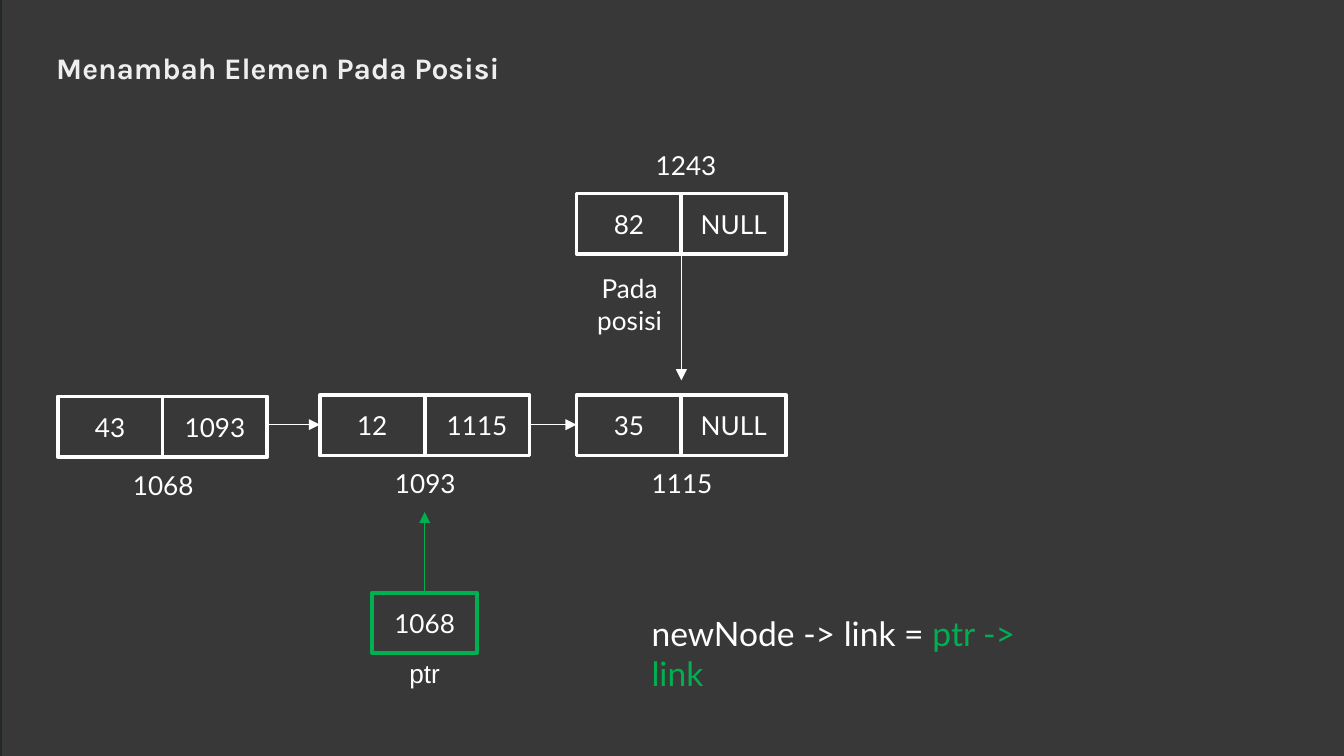
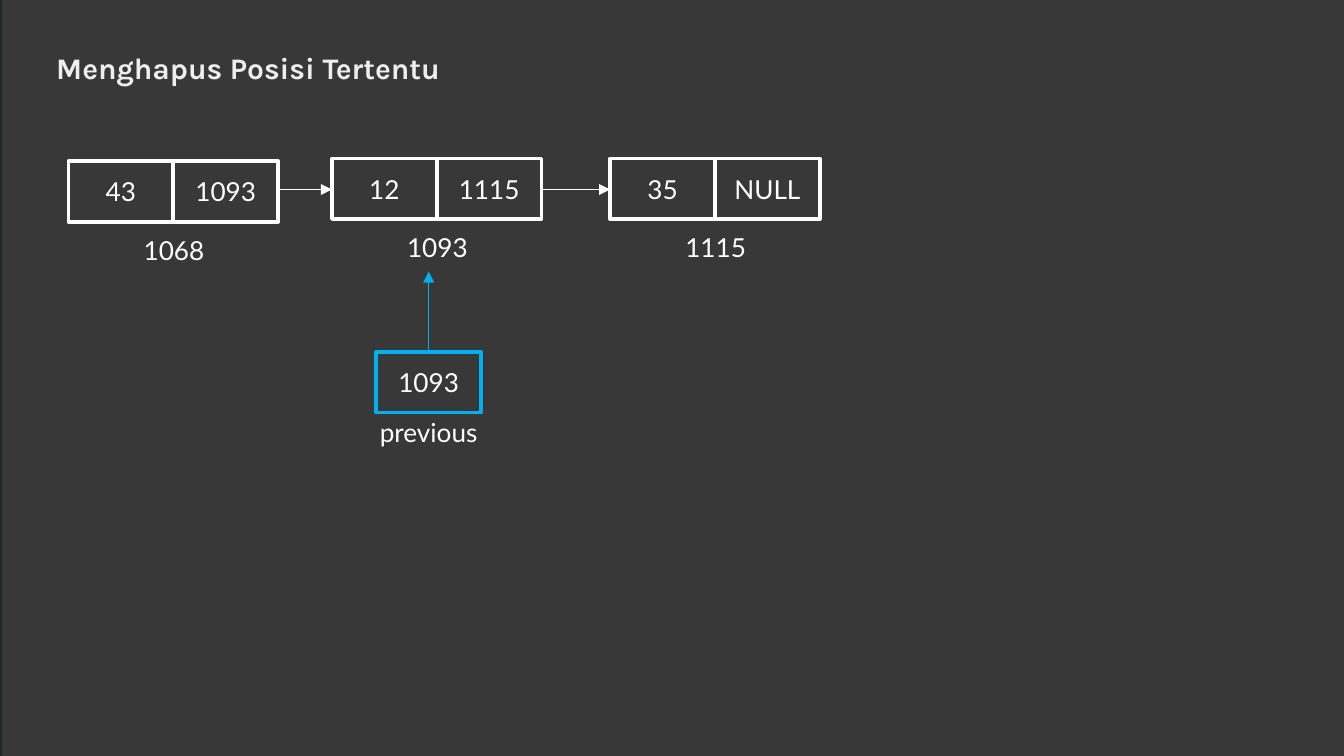
from dataclasses import dataclass

from lxml import etree
from pptx import Presentation
from pptx.dml.color import RGBColor
from pptx.enum.shapes import MSO_CONNECTOR, MSO_SHAPE
from pptx.enum.text import MSO_ANCHOR, PP_ALIGN
from pptx.oxml.ns import qn
from pptx.util import Inches, Pt

RECTANGLE = MSO_SHAPE.RECTANGLE
STRAIGHT = MSO_CONNECTOR.STRAIGHT
LEFT, CENTER = PP_ALIGN.LEFT, PP_ALIGN.CENTER
TOP, MIDDLE = MSO_ANCHOR.TOP, MSO_ANCHOR.MIDDLE


@dataclass(frozen=True)
class Theme:
    background: str = "383838"
    edge: str = "22282A"
    title: str = "EEEEEE"
    white: str = "FFFFFF"
    green: str = "00B050"
    blue: str = "00B0F0"
    title_font: str = "Karla"
    body_font: str = "Lato"
    plain_font: str = "Arial"
    title_size: float = 16
    body_size: float = 14
    code_size: float = 18
    outline: float = 2
    arrow: float = 0.75


THEME = Theme()
SLIDE_WIDTH = 10
SLIDE_HEIGHT = SLIDE_WIDTH * 9 / 16
CELL_WIDTH, CELL_HEIGHT = 0.78, 0.45
LABEL_WIDTH, LABEL_HEIGHT = 0.97, 0.32
ADDRESS_OFFSET = (0.3, 0.44)
POINTER_REACH = 0.6
POINTER_LABEL_DROP = 0.38


def write_text(frame, runs, font=THEME.body_font, size=THEME.body_size, bold=False,
               align=CENTER, anchor=TOP, margin_y=0.1):
    frame.word_wrap = True
    frame.vertical_anchor = anchor
    frame.margin_left = frame.margin_right = Inches(0.1)
    frame.margin_top = frame.margin_bottom = Inches(margin_y)
    paragraph = frame.paragraphs[0]
    paragraph.alignment = align
    for text, color in runs:
        run = paragraph.add_run()
        run.text = text
        run.font.name = font
        run.font.size = Pt(size)
        run.font.bold = bold
        run.font.color.rgb = RGBColor.from_string(color)


def add_text(slide, left, top, width, height, runs, **text_format):
    box = slide.shapes.add_textbox(Inches(left), Inches(top), Inches(width), Inches(height))
    write_text(box.text_frame, runs, **text_format)


def add_box(slide, left, top, width, height, line_color):
    shape = slide.shapes.add_shape(
        RECTANGLE, Inches(left), Inches(top), Inches(width), Inches(height))
    shape.shadow.inherit = False
    shape.fill.solid()
    shape.fill.fore_color.rgb = RGBColor.from_string(THEME.background)
    shape.line.color.rgb = RGBColor.from_string(line_color)
    shape.line.width = Pt(THEME.outline)
    return shape


def add_cell(slide, left, top, value, line_color=THEME.white):
    cell = add_box(slide, left, top, CELL_WIDTH, CELL_HEIGHT, line_color)
    write_text(cell.text_frame, [(value, THEME.white)], anchor=MIDDLE, margin_y=0.05)


def add_label(slide, left, top, text, font=THEME.body_font):
    add_text(slide, left, top, LABEL_WIDTH, LABEL_HEIGHT, [(text, THEME.white)], font=font)


def add_arrow(slide, start, end, color=THEME.white):
    connector = slide.shapes.add_connector(
        STRAIGHT, *(Inches(value) for value in (*start, *end)))
    connector.line.color.rgb = RGBColor.from_string(color)
    connector.line.width = Pt(THEME.arrow)
    line = connector.line._get_or_add_ln()
    etree.SubElement(line, qn("a:tailEnd"), type="triangle")
    etree.SubElement(connector._element.spPr, qn("a:effectLst"))


def add_node(slide, left, top, data, link, address, address_offset=ADDRESS_OFFSET):
    add_cell(slide, left, top, data)
    add_cell(slide, left + CELL_WIDTH, top, link)
    offset_x, offset_y = address_offset
    add_label(slide, left + offset_x, top + offset_y, address)


def add_linked_list(slide, nodes, arrow_spans, arrow_y):
    for node in nodes:
        add_node(slide, *node)
    for start, end in arrow_spans:
        add_arrow(slide, (start, arrow_y), (end, arrow_y))


def add_pointer(slide, left, top, value, name, color, font=THEME.body_font):
    center = left + CELL_WIDTH / 2
    add_cell(slide, left, top, value, color)
    add_arrow(slide, (center, top), (center, top - POINTER_REACH), color)
    add_label(slide, center - LABEL_WIDTH / 2, top + POINTER_LABEL_DROP, name, font)


def start_slide(presentation, title, backdrop_top):
    slide = presentation.slides.add_slide(presentation.slide_layouts[6])
    add_box(slide, 0, backdrop_top, 10.13, 6.16, THEME.edge)
    add_text(slide, 0.32, 0.19, 4.42, 0.63, [(title, THEME.title)], font=THEME.title_font,
             size=THEME.title_size, bold=True, align=LEFT, anchor=MIDDLE)
    return slide


def build_insert_slide(presentation):
    slide = start_slide(presentation, "Menambah Elemen Pada Posisi", -0.22)
    nodes = [
        (0.43, 2.95, "43", "1093", "1068"),
        (2.38, 2.94, "12", "1115", "1093"),
        (4.29, 2.94, "35", "NULL", "1115"),
    ]
    add_linked_list(slide, nodes, [(2, 2.38), (3.94, 4.29)], 3.16)
    add_node(slide, 4.29, 1.44, "82", "NULL", "1243", address_offset=(0.33, -0.43))
    add_arrow(slide, (5.07, 1.66), (5.07, 2.83))
    add_label(slide, 4.2, 1.93, "Pada posisi")
    add_pointer(slide, 2.77, 4.41, "1068", "ptr", THEME.green, THEME.plain_font)
    add_text(slide, 4.75, 4.46, 3.34, 0.34,
             [("newNode -> link = ", THEME.white), ("ptr -> link", THEME.green)],
             size=THEME.code_size, align=LEFT)


def build_delete_slide(presentation):
    slide = start_slide(presentation, "Menghapus Posisi Tertentu", -0.14)
    nodes = [
        (0.51, 1.2, "43", "1093", "1068"),
        (2.47, 1.18, "12", "1115", "1093"),
        (4.54, 1.18, "35", "NULL", "1115"),
    ]
    add_linked_list(slide, nodes, [(2.08, 2.47), (4.02, 4.54)], 1.41)
    add_pointer(slide, 2.8, 2.62, "1093", "previous", THEME.blue)


def main():
    presentation = Presentation()
    presentation.slide_width = Inches(SLIDE_WIDTH)
    presentation.slide_height = Inches(SLIDE_HEIGHT)
    build_insert_slide(presentation)
    build_delete_slide(presentation)
    presentation.save("out.pptx")


if __name__ == "__main__":
    main()
